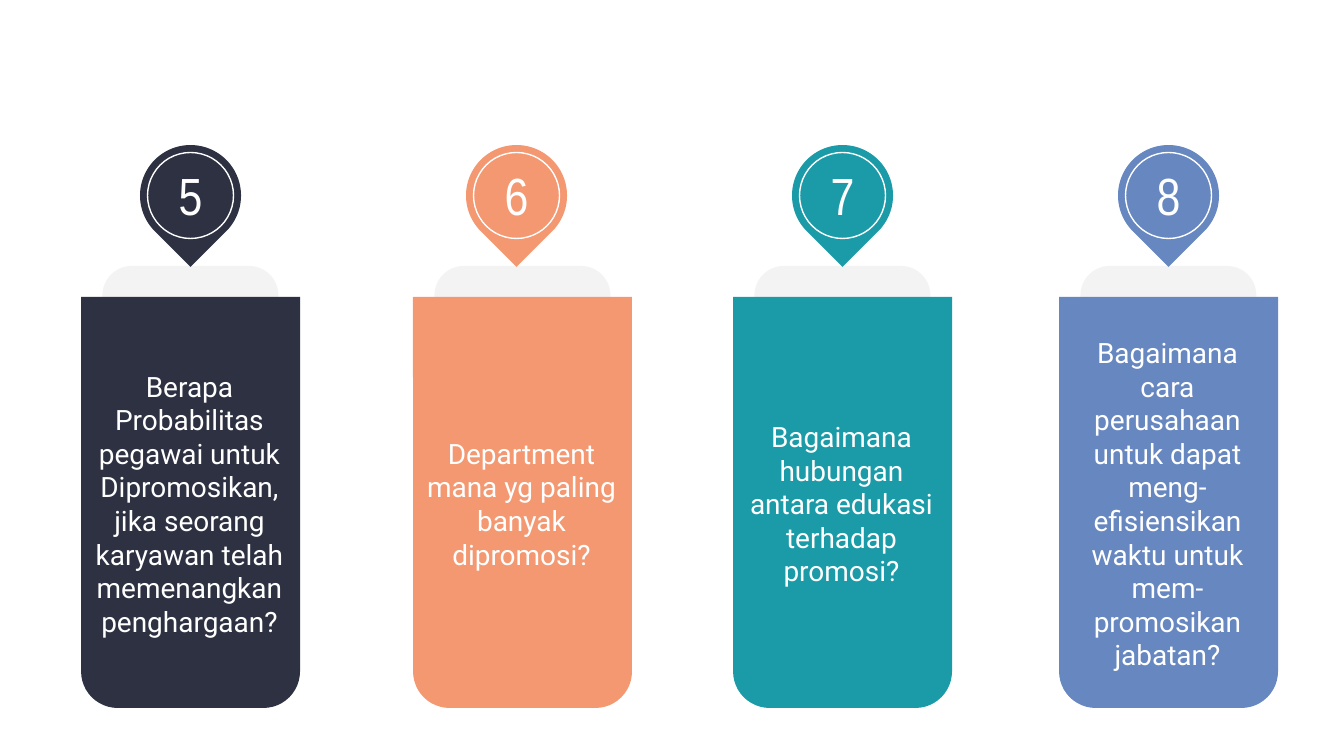
from pptx import Presentation
from pptx.dml.color import RGBColor
from pptx.enum.shapes import MSO_SHAPE as Shape
from pptx.enum.text import MSO_ANCHOR as Anchor, PP_ALIGN as Align
from pptx.util import Pt

WHITE = RGBColor(0xFF, 0xFF, 0xFF)
PALE = RGBColor(0xF3, 0xF3, 0xF3)
NAVY = RGBColor(0x2D, 0x31, 0x42)
CORAL = RGBColor(0xF3, 0x98, 0x71)
TEAL = RGBColor(0x1B, 0x9B, 0xA8)
BLUE = RGBColor(0x66, 0x87, 0xC0)

# number, colour, left of the card in px, paragraphs
CARDS = [
    ("5", NAVY, 81, ["Berapa Probabilitas pegawai untuk Dipromosikan,",
                     "jika seorang karyawan telah",
                     "memenangkan penghargaan?"]),
    ("6", CORAL, 413, ["Department mana yg paling banyak dipromosi?"]),
    ("7", TEAL, 733, ["Bagaimana hubungan antara edukasi terhadap promosi?"]),
    ("8", BLUE, 1059, ["Bagaimana cara perusahaan untuk dapat meng-efisiensikan "
                       "waktu untuk mem-promosikan jabatan?"]),
]

SCALE = 914400 / 134.4
PIN_LEFT, PIN_TOP, PIN_SIZE, PIN_STEP = 140, 145, 101, 326
RING = 86
CARD_TOP, CARD_W, CARD_H = 297, 219, 411
TAB_TOP, TAB_W, TAB_H = 266, 176, 236
TEXT_W, TEXT_H = 215, 409
NUM_W, NUM_TOP, NUM_H = 50, 157, 77
PAD = 7


def px(*vals):
    return [round(v * SCALE) for v in vals]


def add_part(shapes, kind, box, fill=None, line=None, turn=0, adj=()):
    part = shapes.add_shape(kind, *px(*box))
    part.shadow.inherit = False
    part.rotation = turn
    for i, val in enumerate(adj):
        part.adjustments[i] = val
    if fill is None:
        part.fill.background()
    else:
        part.fill.solid()
        part.fill.fore_color.rgb = fill
    if line is None:
        part.line.fill.background()
    else:
        part.line.color.rgb = line
        part.line.width = Pt(0.75)


def add_text(shapes, box, paras, font, frame):
    """Add centred white text; font and frame hold format values."""
    body = shapes.add_textbox(*px(*box)).text_frame
    for key, val in frame.items():
        setattr(body, key, val)
    body.text = "\n".join(paras)
    for para in body.paragraphs:
        para.alignment = Align.CENTER
        for run in para.runs:
            run.font.color.rgb = WHITE
            for key, val in font.items():
                setattr(run.font, key, val)


NUM_FONT = {"name": "Arial Narrow", "size": Pt(28)}
NUM_FRAME = {"word_wrap": False}
TEXT_FONT = {"name": "Roboto", "size": Pt(15)}
TEXT_FRAME = {"word_wrap": True, "vertical_anchor": Anchor.MIDDLE}
for side in ("left", "right", "top", "bottom"):
    TEXT_FRAME["margin_" + side] = px(PAD)[0]

deck = Presentation()
deck.slide_width, deck.slide_height = px(1344, 756)
shapes = deck.slides.add_slide(deck.slide_layouts[6]).shapes

for i, (num, color, left, paras) in enumerate(CARDS):
    card = shapes.add_group_shape().shapes
    add_part(card, Shape.ROUNDED_RECTANGLE,
             (left + (CARD_W - TAB_W) / 2, TAB_TOP, TAB_W, TAB_H),
             PALE, adj=[0.167])
    add_part(card, Shape.ROUND_2_SAME_RECTANGLE,
             (left, CARD_TOP, CARD_W, CARD_H), color, turn=180, adj=[0.167, 0])
    add_text(shapes, (left + 1, CARD_TOP + 2, TEXT_W, TEXT_H),
             paras, TEXT_FONT, TEXT_FRAME)

    pin = PIN_LEFT + i * PIN_STEP
    gap = (PIN_SIZE - RING) / 2
    add_part(shapes, Shape.TEAR, (pin, PIN_TOP, PIN_SIZE, PIN_SIZE),
             color, turn=135, adj=[1])
    add_part(shapes, Shape.OVAL, (pin + gap, PIN_TOP + gap, RING, RING),
             line=WHITE)
    add_text(shapes, (pin + (PIN_SIZE - NUM_W) / 2, NUM_TOP, NUM_W, NUM_H),
             [num], NUM_FONT, NUM_FRAME)

deck.save("out.pptx")
